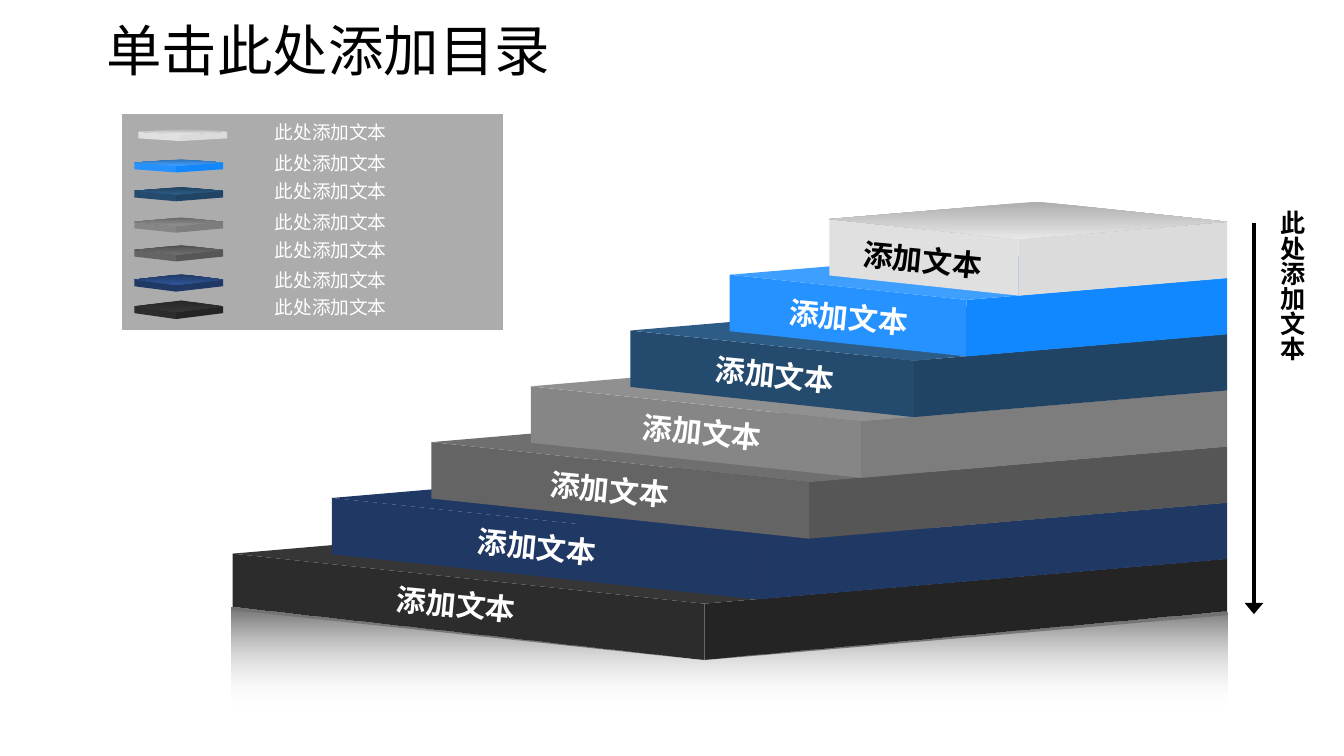
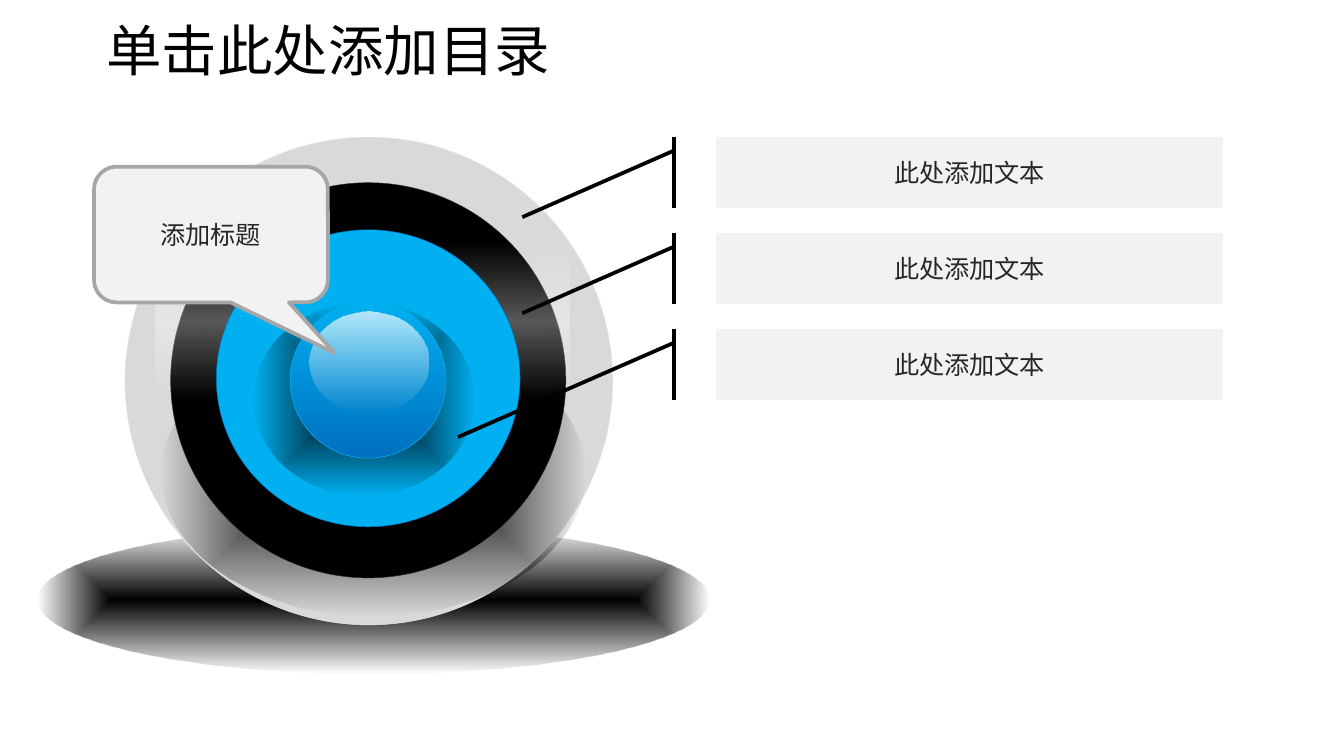
from dataclasses import dataclass

from lxml import etree
from pptx import Presentation
from pptx.dml.color import RGBColor
from pptx.enum.shapes import MSO_CONNECTOR, MSO_SHAPE
from pptx.enum.text import MSO_ANCHOR, MSO_AUTO_SIZE, PP_ALIGN
from pptx.oxml.ns import qn
from pptx.util import Inches, Pt

OVAL, RECT = MSO_SHAPE.OVAL, MSO_SHAPE.RECTANGLE
ACCENT_CALLOUT = MSO_SHAPE.LINE_CALLOUT_1_ACCENT_BAR
BUBBLE = MSO_SHAPE.ROUNDED_RECTANGULAR_CALLOUT
MIDDLE, LEFT, CENTER = MSO_ANCHOR.MIDDLE, PP_ALIGN.LEFT, PP_ALIGN.CENTER
GROW, FIXED = MSO_AUTO_SIZE.SHAPE_TO_FIT_TEXT, MSO_AUTO_SIZE.NONE


@dataclass(frozen=True)
class Theme:
    font: str = "Arial"
    title_font: str = "DejaVu Sans"
    title_size: float = 29.7
    step_size: float = 16
    body_size: float = 13.5
    legend_size: float = 10
    black: str = "000000"
    white: str = "FFFFFF"
    ink: str = "262626"
    panel: str = "F2F2F2"
    border: str = "A6A6A6"
    cyan: str = "00B0F0"
    blue: str = "0070C0"


THEME = Theme()
WIDTH = 10
HEIGHT = WIDTH * 9 / 16
TITLE = "单击此处添加目录"
TITLE_BOX = (0.69, 0.2, 8.62, 0.4)
ITEM_TEXT = "此处添加文本"
STEP_TEXT = "添加文本"
BUBBLE_TEXT = "添加标题"

# Top to bottom: right face, left face, top face (dark, light),
# left edge of the step label, left corner of the legend tile
STEPS = [
    ("DBDBDB", "E0E0E0", ("ADADAD", "E8E8E8"), 6.20, (1.03, 0.98)),
    ("1188FF", "2592FF", ("2D72B6", "3F9FFF"), 5.65, (1, 1.21)),
    ("214464", "244B6E", ("204261", "2D5C87"), 5.10, (1, 1.42)),
    ("7D7D7D", "868686", ("676767", "909090"), 4.56, (1, 1.65)),
    ("565656", "646464", ("4F4F4F", "6F6F6F"), 3.87, (1, 1.86)),
    ("203864", "203864", ("203864", "2F5597"), 3.33, (1, 2.08)),
    ("242424", "2C2C2C", ("272727", "363636"), 2.73, (1, 2.28)),
]
NAVY = "203864"
REFLECTION = [(1.77, 4.52), (5.24, 4.91), (9.13, 4.55), (9.13, 5.26),
              (1.72, 5.26), (1.72, 4.52)]

# A fill is a colour, or a dict with stops of (position, colour, opacity)
SHADE = {"stops": [(0, THEME.black, 100), (100, THEME.black, 0)],
         "radial": True}
GLEAM = {"stops": [(0, "FDFDFD", 0), (50, THEME.white, 35),
                   (100, "FDFDFD", 0)]}
BALL = {"stops": [(0, THEME.cyan, 100), (100, THEME.blue, 100)]}
GLOSS = {"stops": [(0, THEME.white, 71), (100, "EFEFEF", 0)]}
MIRROR = {"stops": [(0, "717171", 100), (100, "FBFBFB", 0)]}
LEGEND_FILL = {"stops": [(0, "828282", 66)]}

FLOOR_SHADOW = (OVAL, (0.28, 3.91, 5, 1.1), SHADE, None)
TARGET = [
    (OVAL, (0.93, 1.02, 3.63, 3.63), "D9D9D9", ("EAEAEA", 0.25)),
    (OVAL, (1.27, 1.36, 2.94, 2.94), THEME.black, ("333333", 0.25)),
    (OVAL, (1.2, 2.46, 3.15, 2.12), SHADE, None),
    (RECT, (1.16, 1.81, 3.08, 1.16), GLEAM, None),
    (OVAL, (1.61, 1.71, 2.26, 2.21), THEME.cyan, (THEME.blue, 0.25)),
    (OVAL, (1.89, 2.25, 1.64, 1.44), SHADE, None),
    (OVAL, (2.16, 2.25, 1.16, 1.16), BALL, (THEME.cyan, 0.25)),
    (OVAL, (2.3, 2.32, 0.89, 0.75), GLOSS, None),
]
POINTERS = [  # end of each leader line, as shares of the callout
    (1.125, -0.383),
    (1.125, -0.383),
    (1.516, -0.51),
]


def inches(values):
    return [Inches(value) for value in values]


def add_color(parent, color, opacity):
    node = etree.SubElement(parent, qn("a:srgbClr"), val=color)
    if opacity < 100:
        etree.SubElement(node, qn("a:alpha"), val=str(opacity * 1000))


def fill_element(stops, radial=False):
    """One stop gives a solid fill, more give a gradient."""
    if len(stops) == 1:
        fill = etree.Element(qn("a:solidFill"))
        add_color(fill, *stops[0][1:])
        return fill
    fill = etree.Element(qn("a:gradFill"), rotWithShape="1")
    stop_list = etree.SubElement(fill, qn("a:gsLst"))
    for position, color, opacity in stops:
        stop = etree.SubElement(stop_list, qn("a:gs"), pos=str(position * 1000))
        add_color(stop, color, opacity)
    if radial:
        centre = etree.SubElement(fill, qn("a:path"), path="shape")
        etree.SubElement(centre, qn("a:fillToRect"),
                         {side: "50000" for side in "ltrb"})
    else:
        etree.SubElement(fill, qn("a:lin"), ang="5400000", scaled="0")
    return fill


def paint(shape, fill, line=None):
    shape.shadow.inherit = False
    if isinstance(fill, str):
        shape.fill.solid()
        shape.fill.fore_color.rgb = RGBColor.from_string(fill)
    else:
        shape.fill.background()
        properties = shape._element.spPr
        properties.replace(properties.find(qn("a:noFill")),
                           fill_element(**fill))
    if line:
        color, width = line
        shape.line.color.rgb = RGBColor.from_string(color)
        shape.line.width = Pt(width)
    else:
        shape.line.fill.background()


def add_part(shapes, kind, box, fill, line=None, adjustments=()):
    shape = shapes.add_shape(kind, *inches(box))
    for index, value in enumerate(adjustments):
        shape.adjustments[index] = value
    paint(shape, fill, line)
    return shape


def add_outline(shapes, points, fill):
    start, *rest = [inches(point) for point in points]
    builder = shapes.build_freeform(*start, scale=1.0)
    builder.add_line_segments(rest, close=True)
    paint(builder.convert_to_shape(), fill)


def write(shape, text, size, color, align=CENTER, font=THEME.font,
          bold=None, **frame_format):
    frame = shape.text_frame
    for name, value in {"word_wrap": True, **frame_format}.items():
        setattr(frame, name, value)
    para = frame.paragraphs[0]
    para.alignment = align
    span = para.add_run()
    span.text = text
    for name, value in {"name": font, "size": Pt(size), "bold": bold}.items():
        setattr(span.font, name, value)
    span.font.color.rgb = RGBColor.from_string(color)
    return para


def add_label(shapes, box, text, size, color, bold=None):
    label = shapes.add_textbox(*inches(box))
    write(label, text, size, color, bold=bold, auto_size=GROW)
    return label


def add_page(deck):
    page = deck.slides.add_slide(deck.slide_layouts[5])
    title = page.shapes.title
    title.left, title.top, title.width, title.height = inches(TITLE_BOX)
    para = write(title, TITLE, THEME.title_size, THEME.black, LEFT,
                 THEME.title_font, vertical_anchor=MIDDLE, auto_size=FIXED)
    para.line_spacing = 0.9
    return page


def add_slab(shapes, left, front, right, thickness, fills):
    """Draw a slab from three corners of its top; the back one follows."""
    back = tuple(a + b - c for a, b, c in zip(left, right, front))

    def below(corner):
        return corner[0], corner[1] + thickness

    faces = [
        (front, below(front), below(right), right),
        (left, below(left), below(front), front),
        (back, left, front, right),
    ]
    for face, fill in zip(faces, fills):
        add_outline(shapes, face, fill)


def fade(dark, light):
    return {"stops": [(0, dark, 100), (100, light, 100)]}


def add_legend(page):
    shapes = page.shapes.add_group_shape().shapes
    add_part(shapes, RECT, (0.9, 0.84, 2.85, 1.62), LEGEND_FILL,
             (THEME.white, 1))
    for row, (right_fill, left_fill, top, _, (x, y)) in enumerate(STEPS):
        drop = 0.02 + 0.004 * row
        add_slab(shapes, (x, y), (x + 0.31, y + drop), (x + 0.66, y), 0.05,
                 (right_fill, left_fill, fade(*top)))
        add_label(shapes, (1.79, y - 0.13, 1.34, 0.27), ITEM_TEXT,
                  THEME.legend_size, THEME.white)


def add_stairs(page):
    shapes = page.shapes.add_group_shape().shapes
    for row, (right_fill, left_fill, top, label_x, _) in reversed(
            list(enumerate(STEPS))):
        is_top = row == 0
        top_fill = fade(*top) if is_top else top[1]
        if left_fill == NAVY:
            top_fill = NAVY
        add_slab(shapes,
                 (6.17 - 0.74 * row, 1.63 + 0.415 * row),
                 (7.58 - 0.39 * row, 1.78 + 0.452 * row),
                 (9.13, 1.65 + 0.418 * row),
                 0.42, (right_fill, left_fill, top_fill))
        label = add_label(shapes, (label_x, 1.75 + 0.427 * row, 1.33, 0.37),
                          STEP_TEXT, THEME.step_size,
                          THEME.black if is_top else THEME.white, bold=True)
        label.rotation = 5.4
    add_outline(shapes, REFLECTION, MIRROR)


def add_down_arrow(page):
    arrow = page.shapes.add_connector(
        MSO_CONNECTOR.STRAIGHT, *inches((9.33, 1.66, 9.33, 4.57)))
    arrow.line.color.rgb = RGBColor.from_string(THEME.black)
    arrow.line.width = Pt(2)
    properties = arrow._element.spPr
    etree.SubElement(properties.find(qn("a:ln")), qn("a:tailEnd"),
                     type="triangle", w="lg", len="med")
    etree.SubElement(properties, qn("a:effectLst"))


def build_stairs_page(deck):
    page = add_page(deck)
    add_down_arrow(page)
    caption = add_label(page.shapes, (9.28, 1.47, 0.5, 2.51), ITEM_TEXT,
                        THEME.body_size, THEME.black, bold=True)
    caption.text_frame._txBody.bodyPr.set("vert", "eaVert")
    add_legend(page)
    add_stairs(page)


def build_target_page(deck):
    page = add_page(deck)
    add_part(page.shapes, *FLOOR_SHADOW)
    target = page.shapes.add_group_shape()
    for part in TARGET:
        add_part(target.shapes, *part)
    for row, pointer in enumerate(POINTERS):
        callout = add_part(page.shapes, ACCENT_CALLOUT,
                           (5.33, 1.02 + 0.715 * row, 3.77, 0.53),
                           THEME.panel, (THEME.black, 2),
                           (0.188, -0.083, *pointer))
        write(callout, ITEM_TEXT, THEME.body_size, THEME.ink,
              vertical_anchor=MIDDLE)
    bubble = add_part(page.shapes, BUBBLE, (0.7, 1.24, 1.74, 1.01),
                      THEME.panel, (THEME.border, 2), (0.529, 0.873, 0.167))
    write(bubble, BUBBLE_TEXT, THEME.body_size, THEME.ink,
          vertical_anchor=MIDDLE)


def main():
    deck = Presentation()
    deck.slide_width, deck.slide_height = inches((WIDTH, HEIGHT))
    build_stairs_page(deck)
    build_target_page(deck)
    deck.save("out.pptx")


if __name__ == "__main__":
    main()
